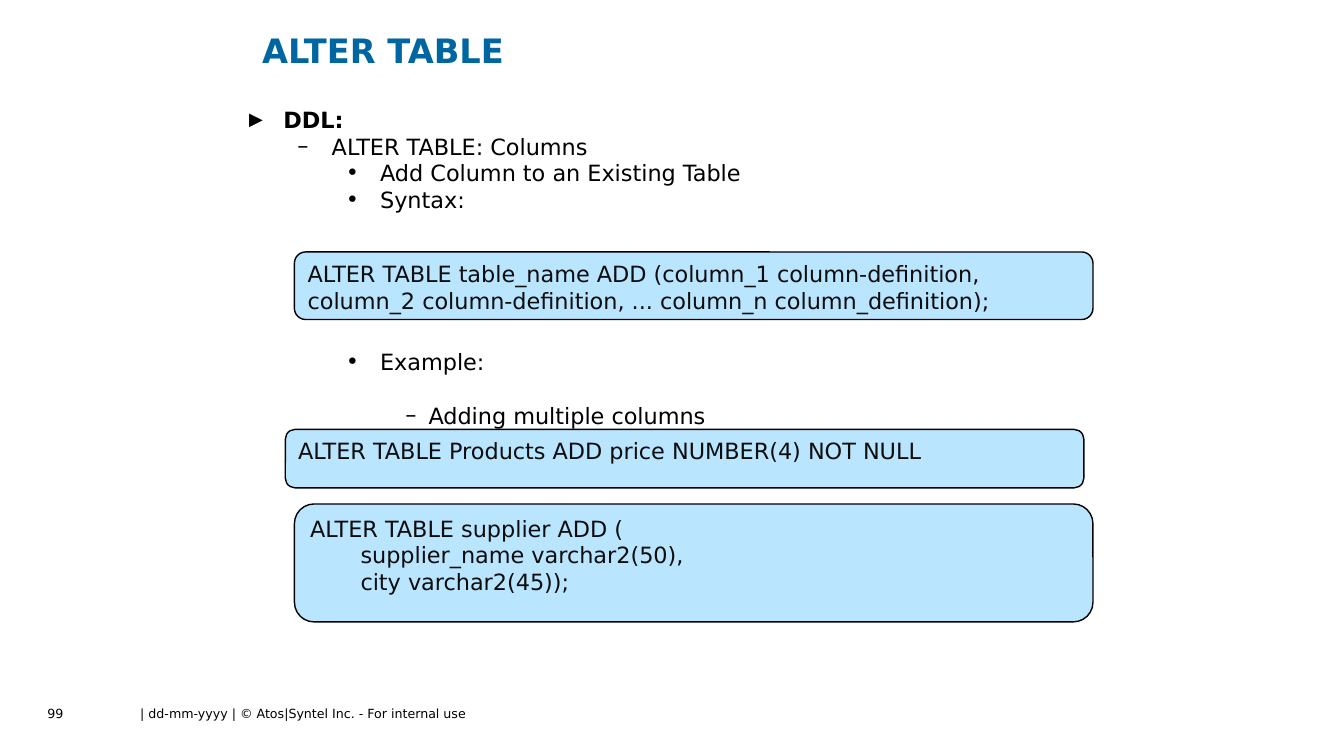
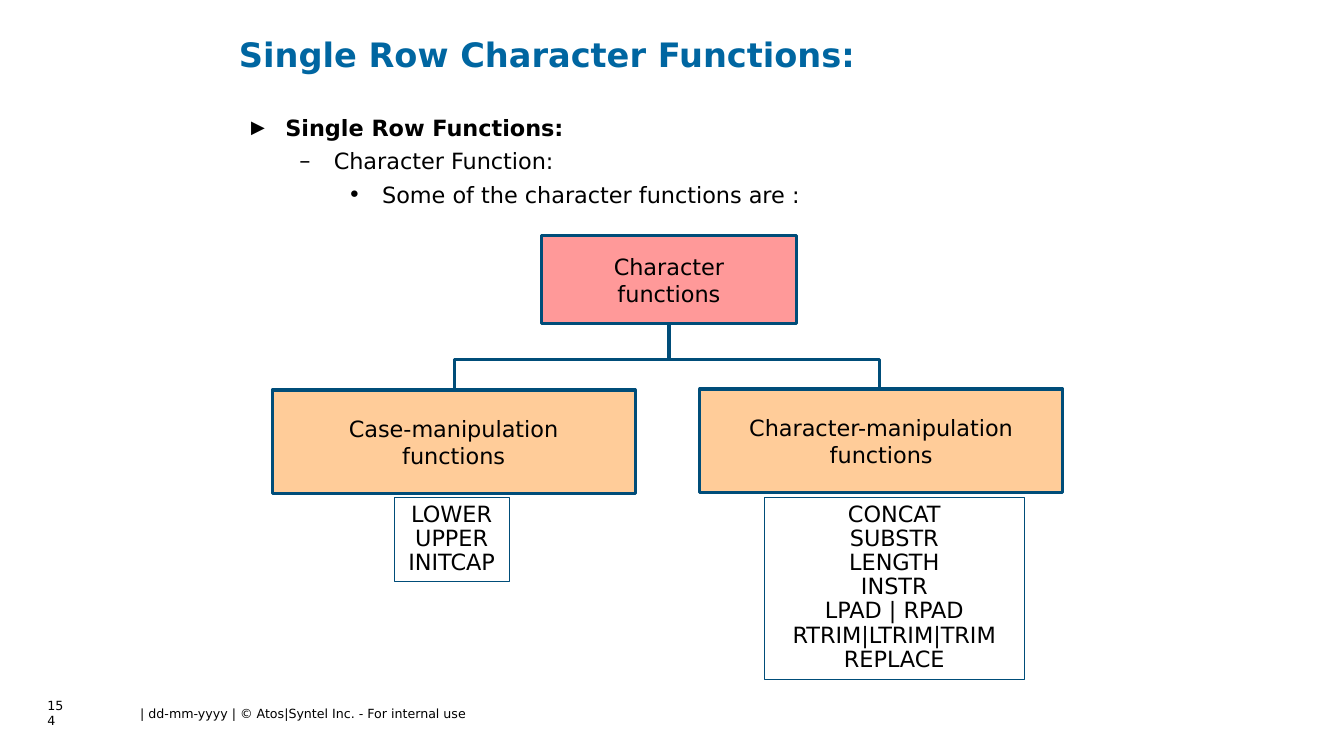
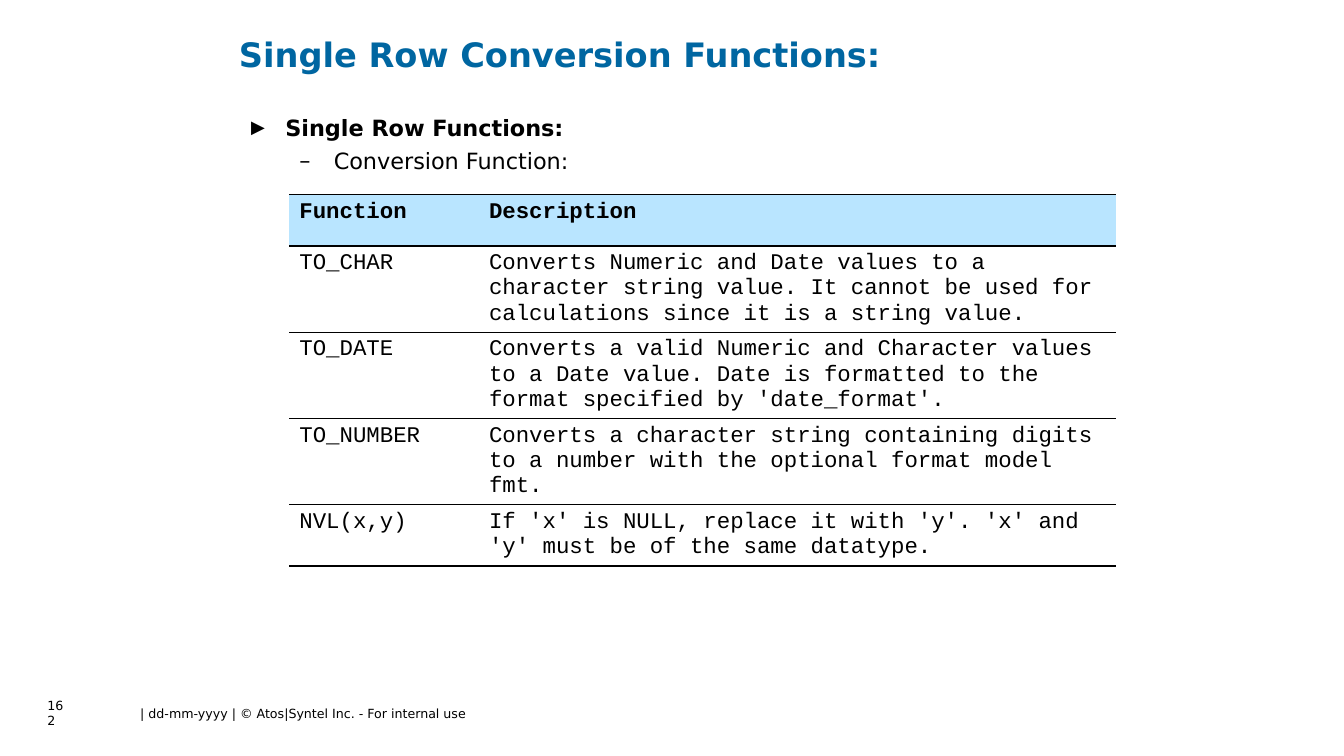
import pptx
import pptx.dml.color
import pptx.enum.shapes
import pptx.enum.text
import pptx.oxml
import pptx.oxml.ns
import pptx.util
from lxml import etree
from pptx.util import Inches

COLORS = {
    "title": "0066A1",
    "text": "000000",
    "code_text": "0D0D0D",
    "code_fill": "B9E5FF",
    "line": "000000",
    "tree_line": "004D79",
    "root": "FF9999",
    "branch": "FFCC99",
}
SANS = "DejaVu Sans"
MONO = "Courier New"
FOOTER = "| dd-mm-yyyy | © Atos|Syntel Inc. - For internal use"
BULLETS = [("▶", 0.34, 80), ("–", 0.34, 100), ("•", 0.34, 100), ("–", 0.23, 100)]
ALIGN = pptx.enum.text.PP_ALIGN
ANCHOR = pptx.enum.text.MSO_ANCHOR
SHAPES = pptx.enum.shapes.MSO_SHAPE


def rgb(name):
    return pptx.dml.color.RGBColor.from_string(COLORS[name])


def apply_format(target, values):
    for name, value in values.items():
        setattr(target, name, value)


def place(shape, box):
    names = ("left", "top", "width", "height")
    apply_format(shape, dict(zip(names, (Inches(value) for value in box))))


def add_child(parent, tag, **attributes):
    child = etree.SubElement(parent, pptx.oxml.ns.qn(tag))
    for name, value in attributes.items():
        child.set(name, value)
    return child


def write_paragraph(paragraph, text, size=16, color="text", font=SANS, bold=False, **layout):
    apply_format(paragraph, layout)
    run = paragraph.add_run()
    run.text = text
    apply_format(run.font, {"size": pptx.util.Pt(size), "name": font, "bold": bold})
    run.font.color.rgb = rgb(color)


def write_lines(frame, lines, **values):
    for index, line in enumerate(lines):
        paragraph = frame.add_paragraph() if index else frame.paragraphs[0]
        write_paragraph(paragraph, line, **values)


def style_frame(frame, anchor=ANCHOR.TOP, wrap=True):
    apply_format(frame, {
        "auto_size": pptx.enum.text.MSO_AUTO_SIZE.NONE,
        "word_wrap": wrap,
        "vertical_anchor": anchor,
    })


def add_footer_text(slide, box, text, wrap, alignment):
    shape = slide.shapes.add_textbox(*(Inches(value) for value in box))
    frame = shape.text_frame
    style_frame(frame, ANCHOR.MIDDLE, wrap)
    sides = ("left", "top", "right", "bottom")
    apply_format(frame, {"margin_" + side: 0 for side in sides})
    write_lines(frame, [text], size=9, alignment=alignment)


def add_bullet(paragraph, level):
    character, hanging, percent = BULLETS[level]
    properties = paragraph._p.get_or_add_pPr()
    properties.set("marL", str(Inches(0.46 + 0.48 * level)))
    properties.set("indent", str(-Inches(hanging)))
    color = add_child(properties, "a:buClr")
    add_child(color, "a:srgbClr", val=COLORS["text"])
    add_child(properties, "a:buSzPct", val=str(percent * 1000))
    add_child(properties, "a:buFont", typeface=SANS)
    add_child(properties, "a:buChar", char=character)


def add_slide(presentation, number, title, title_box, body_box, items):
    slide = presentation.slides.add_slide(presentation.slide_layouts[1])
    heading, body = slide.placeholders[0], slide.placeholders[1]
    for placeholder, box in ((heading, title_box), (body, body_box)):
        place(placeholder, box)
        style_frame(placeholder.text_frame)
    write_lines(heading.text_frame, [title], size=24, color="title", bold=True,
                alignment=ALIGN.LEFT)
    for index, (level, text, space) in enumerate(items):
        frame = body.text_frame
        paragraph = frame.add_paragraph() if index else frame.paragraphs[0]
        add_bullet(paragraph, level)
        write_paragraph(paragraph, text, bold=level == 0, level=level,
                        space_before=pptx.util.Pt(space))
    add_footer_text(slide, (1.3, 7, 3.41, 0.15), FOOTER, False, ALIGN.CENTER)
    add_footer_text(slide, (0.47, 7, 0.22, 0.15), str(number), True, ALIGN.LEFT)
    return slide


def style_line(line, color, width):
    line.color.rgb = rgb(color)
    line.width = pptx.util.Pt(width)


def add_box(slide, kind, box, lines, fill=None, line=("line", 1),
            anchor=ANCHOR.TOP, wrap=True, **values):
    shape = slide.shapes.add_shape(kind, *(Inches(value) for value in box))
    shape.shadow.inherit = False
    if fill:
        shape.fill.solid()
        shape.fill.fore_color.rgb = rgb(fill)
    else:
        shape.fill.background()
    style_line(shape.line, *line)
    style_frame(shape.text_frame, anchor, wrap)
    write_lines(shape.text_frame, lines, **values)
    return shape


def add_code_box(slide, box, lines):
    add_box(slide, SHAPES.ROUNDED_RECTANGLE, box, lines, "code_fill",
            color="code_text", alignment=ALIGN.LEFT)


def add_tree_node(slide, box, lines, fill):
    return add_box(slide, SHAPES.RECTANGLE, box, lines, fill, ("tree_line", 2.25),
                   ANCHOR.MIDDLE, False, alignment=ALIGN.CENTER)


def add_function_list(slide, box, names):
    add_box(slide, SHAPES.RECTANGLE, box, names, line=("tree_line", 0.75),
            alignment=ALIGN.CENTER, line_spacing=0.9)


def add_stem(slide, node, bottom):
    center = node.left + node.width // 2
    stem = slide.shapes.add_connector(
        pptx.enum.shapes.MSO_CONNECTOR.STRAIGHT,
        center, node.top + node.height, center, Inches(bottom))
    stem.begin_connect(node, 2)
    add_child(stem._element.spPr, "a:effectLst")
    style_line(stem.line, "tree_line", 2.25)
    effects = stem._element.spPr.find(pptx.oxml.ns.qn("a:effectLst"))
    stem._element.spPr.append(effects)


def add_bracket(slide, left, right, top, bottom):
    points = [(left, bottom), (left, top), (right, top), (right, bottom)]
    points = [(Inches(x), Inches(y)) for x, y in points]
    builder = slide.shapes.build_freeform(*points[0], scale=1.0)
    builder.add_line_segments(points[1:], close=False)
    bracket = builder.convert_to_shape()
    bracket.shadow.inherit = False
    bracket.fill.background()
    style_line(bracket.line, "tree_line", 2.25)


def style_cell_borders(cell):
    properties = cell._tc.get_or_add_tcPr()
    for side in "LR":
        add_child(add_child(properties, "a:ln" + side, w="0"), "a:noFill")
    for side in "TB":
        border = add_child(properties, "a:ln" + side, w=str(pptx.util.Pt(1)))
        add_child(add_child(border, "a:solidFill"), "a:srgbClr", val=COLORS["line"])


def add_function_table(slide, box, widths, heights, rows):
    frame = slide.shapes.add_table(len(rows), len(widths), *(Inches(value) for value in box))
    table = frame.table
    apply_format(table, {"first_row": False, "horz_banding": False})
    for column, width in zip(table.columns, widths):
        column.width = Inches(width)
    for row_index, (row, height) in enumerate(zip(rows, heights)):
        table.rows[row_index].height = Inches(height)
        header = row_index == 0
        for column_index, text in enumerate(row):
            cell = table.cell(row_index, column_index)
            style_cell_borders(cell)
            if header:
                cell.fill.solid()
                cell.fill.fore_color.rgb = rgb("code_fill")
            else:
                cell.fill.background()
            write_lines(cell.text_frame, [text], font=MONO, bold=header)


def build_alter_table(presentation):
    slide = add_slide(
        presentation, 99, "ALTER TABLE", (2.5, 0.25, 9, 0.67), (2.25, 1, 8.89, 5.92),
        [(0, "DDL:", 0), (1, "ALTER TABLE: Columns", 0),
         (2, "Add Column to an Existing Table", 0), (2, "Syntax:", 0),
         (2, "Example:", 96.5), (3, "Adding multiple columns", 19)])
    add_code_box(slide, (2.92, 2.5, 7.92, 0.67), [
        "ALTER TABLE table_name ADD (column_1 column-definition, "
        "column_2 column-definition, ... column_n column_definition);"])
    add_code_box(slide, (2.83, 4.26, 7.92, 0.58),
                 ["ALTER TABLE Products ADD price NUMBER(4) NOT NULL"])
    add_code_box(slide, (2.92, 5, 7.92, 1.17), [
        "ALTER TABLE supplier ADD (", "\tsupplier_name varchar2(50),",
        "\tcity varchar2(45));"])


def add_single_row_slide(presentation, number, title, items):
    items = [(0, "Single Row Functions:", 0)] + [
        (level, text, 4.8) for level, text in enumerate(items, 1)]
    return add_slide(presentation, number, title, (2.27, 0.29, 9.14, 0.77),
                     (2.27, 1.08, 8.87, 5.92), items)


def build_character_functions(presentation):
    slide = add_single_row_slide(
        presentation, 154, "Single Row Character Functions:",
        ["Character Function:", "Some of the character functions are :"])
    root = add_tree_node(slide, (5.37, 2.34, 2.53, 0.87), ["Character", "functions"], "root")
    add_function_list(slide, (3.91, 4.94, 1.14, 0.83), ["LOWER", "UPPER", "INITCAP"])
    add_function_list(slide, (7.58, 4.94, 2.58, 1.8), [
        "CONCAT", "SUBSTR", "LENGTH", "INSTR", "LPAD | RPAD",
        "RTRIM|LTRIM|TRIM", "REPLACE"])
    add_stem(slide, root, 3.56)
    add_bracket(slide, 4.51, 8.72, 3.57, 4.12)
    for left, top, name in ((2.7, 3.87, "Case-manipulation"),
                            (6.94, 3.86, "Character-manipulation")):
        add_tree_node(slide, (left, top, 3.6, 1.03), [name, "functions"], "branch")


def build_conversion_functions(presentation):
    slide = add_single_row_slide(
        presentation, 162, "Single Row Conversion Functions:", ["Conversion Function:"])
    add_function_table(
        slide, (2.87, 1.93, 8.2, 3.67), (1.88, 6.32), (0.51, 0.85, 0.85, 0.85, 0.61), [
            ("Function", "Description"),
            ("TO_CHAR", "Converts Numeric and Date values to a character string value. "
             "It cannot be used for calculations since it is a string value."),
            ("TO_DATE", "Converts a valid Numeric and Character values to a Date value. "
             "Date is formatted to the format specified by 'date_format'."),
            ("TO_NUMBER", "Converts a character string containing digits to a number "
             "with the optional format model fmt."),
            ("NVL(x,y)", "If 'x' is NULL, replace it with 'y'. 'x' and 'y' must be of "
             "the same datatype."),
        ])


def main():
    presentation = pptx.Presentation()
    apply_format(presentation, {"slide_width": Inches(13.33), "slide_height": Inches(7.5)})
    build_alter_table(presentation)
    build_character_functions(presentation)
    build_conversion_functions(presentation)
    presentation.save("out.pptx")


if __name__ == "__main__":
    main()
